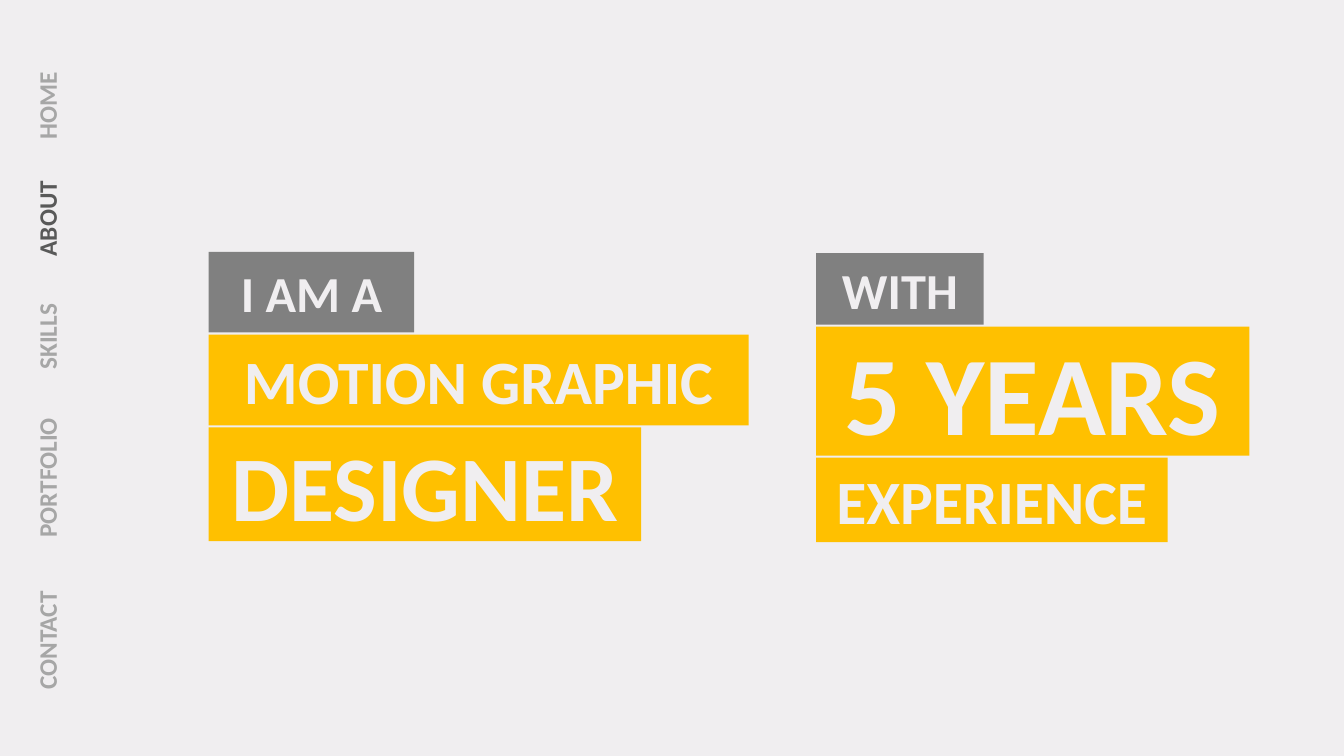
from pptx import Presentation
from pptx.dml.color import RGBColor
from pptx.enum.shapes import MSO_SHAPE as Shape
from pptx.enum.text import MSO_ANCHOR as Anchor, MSO_AUTO_SIZE as Fit, PP_ALIGN as Align
from pptx.util import Cm, Pt

PAPER = RGBColor(0xF0, 0xEE, 0xF0)
GREY = RGBColor(0x80, 0x80, 0x80)
GOLD = RGBColor(0xFF, 0xC0, 0x00)
PALE = RGBColor(0xA6, 0xA6, 0xA6)
DARK = RGBColor(0x59, 0x59, 0x59)

MENU = [("HOME", 2.67), ("ABOUT", 5.51), ("SKILLS", 8.48),
        ("PORTFOLIO", 12.04), ("CONTACT", 16.13)]
ACTIVE = "ABOUT"
MENU_X, TAB_W, TAB_H = 1.18, 4.04, 1.02

STACKS = [
    (5.26, 6.35, [("I AM A", 36, 5.18, 2.03, GREY),
                  ("MOTION GRAPHIC", 44, 13.61, 2.29, GOLD),
                  ("DESIGNER", 66, 10.9, 2.87, GOLD)]),
    (20.57, 6.38, [("WITH", 36, 4.22, 1.8, GREY),
                   ("5 YEARS", 80, 10.92, 3.25, GOLD),
                   ("EXPERIENCE", 44, 8.86, 2.13, GOLD)]),
]
GAP = 0.05


def write(shape, text, size, color):
    frame = shape.text_frame
    frame.text = text
    frame.auto_size = Fit.NONE
    frame.word_wrap = False
    frame.vertical_anchor = Anchor.MIDDLE
    frame.margin_left = frame.margin_right = 0
    frame.margin_top = frame.margin_bottom = 0
    line = frame.paragraphs[0]
    line.alignment = Align.CENTER
    font = line.runs[0].font
    font.name, font.size, font.bold = "Calibri", Pt(size), True
    font.color.rgb = color


def add_stack(slide, left, top, bars):
    group = slide.shapes.add_group_shape()
    for text, size, width, height, fill in bars:
        bar = group.shapes.add_shape(
            Shape.RECTANGLE, Cm(left), Cm(top), Cm(width), Cm(height))
        bar.shadow.inherit = False
        bar.fill.solid()
        bar.fill.fore_color.rgb = fill
        bar.line.fill.background()
        write(bar, text, size, PAPER)
        top += height + GAP


def add_tab(slide, text, middle):
    active = text == ACTIVE
    tab = slide.shapes.title if active else slide.shapes.add_textbox(0, 0, 0, 0)
    tab.left, tab.top = Cm(MENU_X - TAB_W / 2), Cm(middle - TAB_H / 2)
    tab.width, tab.height = Cm(TAB_W), Cm(TAB_H)
    tab.rotation = 270
    write(tab, text, 18, DARK if active else PALE)


def main():
    deck = Presentation()
    deck.slide_width, deck.slide_height = Cm(33.87), Cm(19.05)
    slide = deck.slides.add_slide(deck.slide_layouts[5])
    slide.background.fill.solid()
    slide.background.fill.fore_color.rgb = PAPER
    for stack in STACKS:
        add_stack(slide, *stack)
    for text, middle in MENU:
        add_tab(slide, text, middle)
    deck.save("out.pptx")


if __name__ == "__main__":
    main()
